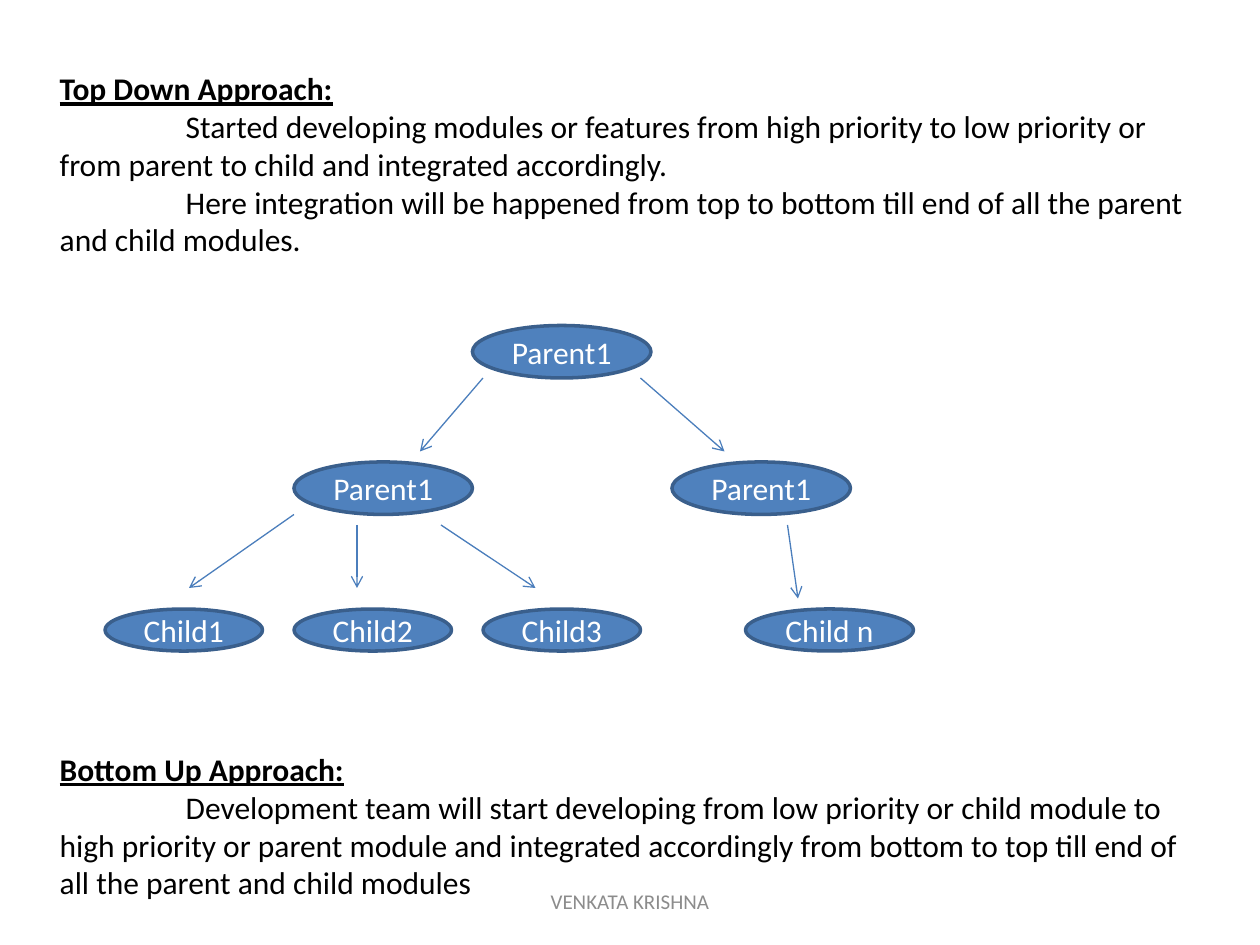
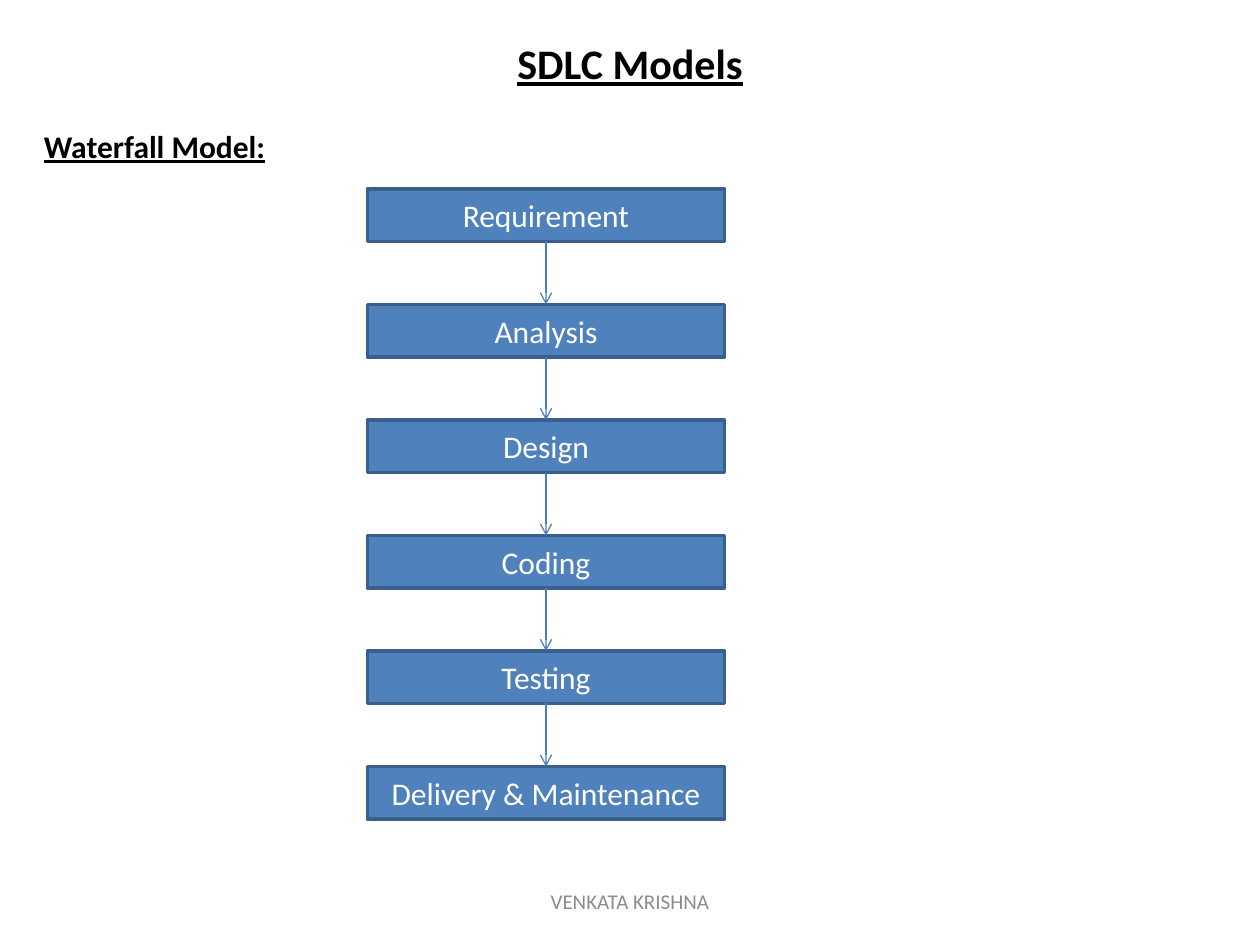
import pptx
import pptx.util
import pptx.dml.color
import pptx.enum.shapes
import pptx.enum.text
import pptx.oxml.ns
from lxml import etree

Shape = pptx.enum.shapes.MSO_SHAPE
Anchor = pptx.enum.text.MSO_ANCHOR
Align = pptx.enum.text.PP_ALIGN

# Content
FOOTER = "VENKATA KRISHNA"

# (style, space before in points, text)
APPROACHES = [
    ("heading", 0, "Top Down Approach:"),
    ("body", 0, "Started developing modules or features from high priority to low "
                "priority or from parent to child and integrated accordingly."),
    ("body", 0, "Here integration will be happened from top to bottom till end of "
                "all the parent and child modules."),
    ("heading", 281, "Bottom Up Approach:"),
    ("body", 0, "Development team will start developing from low priority or child "
                "module to high priority or parent module and integrated accordingly "
                "from bottom to top till end of all the parent and child modules"),
]
# Tree levels: top, height, then (label, left, width)
TREE_LEVELS = [
    (310, 50, [("Parent1", 450, 170)]),
    (440, 50, [("Parent1", 280, 170), ("Parent1", 640, 170)]),
    (580, 40, [("Child1", 100, 150), ("Child2", 280, 150),
               ("Child3", 460, 150), ("Child n", 710, 160)]),
]
TREE_ARROWS = [
    ((460, 360), (400, 430)), ((610, 360), (690, 430)),
    ((280, 490), (180, 560)), ((340, 500), (340, 560)),
    ((420, 500), (510, 560)), ((750, 500), (760, 570)),
]
MODEL_TITLES = [("title", 0, "SDLC Models"), ("heading", 22, "Waterfall Model:")]
WATERFALL_STEPS = ["Requirement", "Analysis", "Design", "Coding", "Testing",
                   "Delivery & Maintenance"]

# Layout in px, 120 to the inch
SCALE = 914400 // 120
PAGE_SIZE = (1200, 900)
APPROACH_BOX = (45, 60, 1115, 812)
MODEL_BOX = (30, 30, 1140, 133)
FOOTER_BOX = (410, 834, 380, 48)
STEP_LEFT, STEP_TOP, STEP_WIDTH, STEP_HEIGHT, STEP_PITCH = 350, 180, 340, 50, 110
FIRST_LINE_INDENT = 120

THEME = {
    "font": "Calibri",
    "node_fill": "4F81BD", "node_line": "3A5F8C", "node_line_width": 2,
    "arrow": "4B7EBC", "arrow_width": 0.75,
    "text": {
        "title": {"size": 24, "color": "000000", "bold": True, "underline": True},
        "heading": {"size": 18, "color": "000000", "bold": True, "underline": True},
        "body": {"size": 18, "color": "000000"},
        "node": {"size": 18, "color": "FFFFFF"},
        "footer": {"size": 12, "color": "8C8C8C"},
    },
}
CENTERED = {"title", "node", "footer"}


def px(*lengths):
    return [pptx.util.Emu(length * SCALE) for length in lengths]


def rgb(value):
    return pptx.dml.color.RGBColor.from_string(value)


# Text
def write(frame, paragraphs, anchor=Anchor.TOP):
    frame.word_wrap = True
    frame.vertical_anchor = anchor
    for number, (style, space, text) in enumerate(paragraphs):
        para = frame.add_paragraph() if number else frame.paragraphs[0]
        para.alignment = Align.CENTER if style in CENTERED else Align.LEFT
        if space:
            para.space_before = pptx.util.Pt(space)
        if style == "body":
            para._p.get_or_add_pPr().set("indent", str(FIRST_LINE_INDENT * SCALE))
        span = para.add_run()
        span.text = text
        look = THEME["text"][style]
        values = {**look, "name": THEME["font"], "size": pptx.util.Pt(look["size"])}
        span.font.color.rgb = rgb(values.pop("color"))
        for name, value in values.items():
            setattr(span.font, name, value)


def add_text(page, area, paragraphs, anchor=Anchor.TOP):
    box = page.shapes.add_textbox(*px(*area))
    write(box.text_frame, paragraphs, anchor)


# Diagram parts
def add_node(page, kind, area, label):
    node = page.shapes.add_shape(kind, *px(*area))
    node.shadow.inherit = False
    node.fill.solid()
    node.fill.fore_color.rgb = rgb(THEME["node_fill"])
    node.line.color.rgb = rgb(THEME["node_line"])
    node.line.width = pptx.util.Pt(THEME["node_line_width"])
    write(node.text_frame, [("node", 0, label)], Anchor.MIDDLE)
    return node


def add_arrow(page, start=(0, 0), end=(0, 0)):
    arrow = page.shapes.add_connector(
        pptx.enum.shapes.MSO_CONNECTOR.STRAIGHT, *px(*start, *end))
    arrow.line.color.rgb = rgb(THEME["arrow"])
    arrow.line.width = pptx.util.Pt(THEME["arrow_width"])
    qn = pptx.oxml.ns.qn
    etree.SubElement(arrow.line._get_or_add_ln(), qn("a:tailEnd"), type="arrow")
    etree.SubElement(arrow._element.spPr, qn("a:effectLst"))
    return arrow


# Slides
def add_page(deck, area, paragraphs):
    page = deck.slides.add_slide(deck.slide_layouts[6])
    add_text(page, area, paragraphs)
    add_text(page, FOOTER_BOX, [("footer", 0, FOOTER)], Anchor.MIDDLE)
    return page


def build_approaches(deck):
    page = add_page(deck, APPROACH_BOX, APPROACHES)
    for top, height, nodes in TREE_LEVELS:
        for label, left, width in nodes:
            add_node(page, Shape.OVAL, (left, top, width, height), label)
    for start, end in TREE_ARROWS:
        add_arrow(page, start, end)


def build_waterfall(deck):
    page = add_page(deck, MODEL_BOX, MODEL_TITLES)
    steps = [
        add_node(page, Shape.RECTANGLE,
                 (STEP_LEFT, STEP_TOP + row * STEP_PITCH, STEP_WIDTH, STEP_HEIGHT), label)
        for row, label in enumerate(WATERFALL_STEPS)
    ]
    for upper, lower in zip(steps, steps[1:]):
        arrow = add_arrow(page)
        arrow.begin_connect(upper, 2)
        arrow.end_connect(lower, 0)


def main():
    deck = pptx.Presentation()
    deck.slide_width, deck.slide_height = px(*PAGE_SIZE)
    build_approaches(deck)
    build_waterfall(deck)
    deck.save("out.pptx")


if __name__ == "__main__":
    main()
